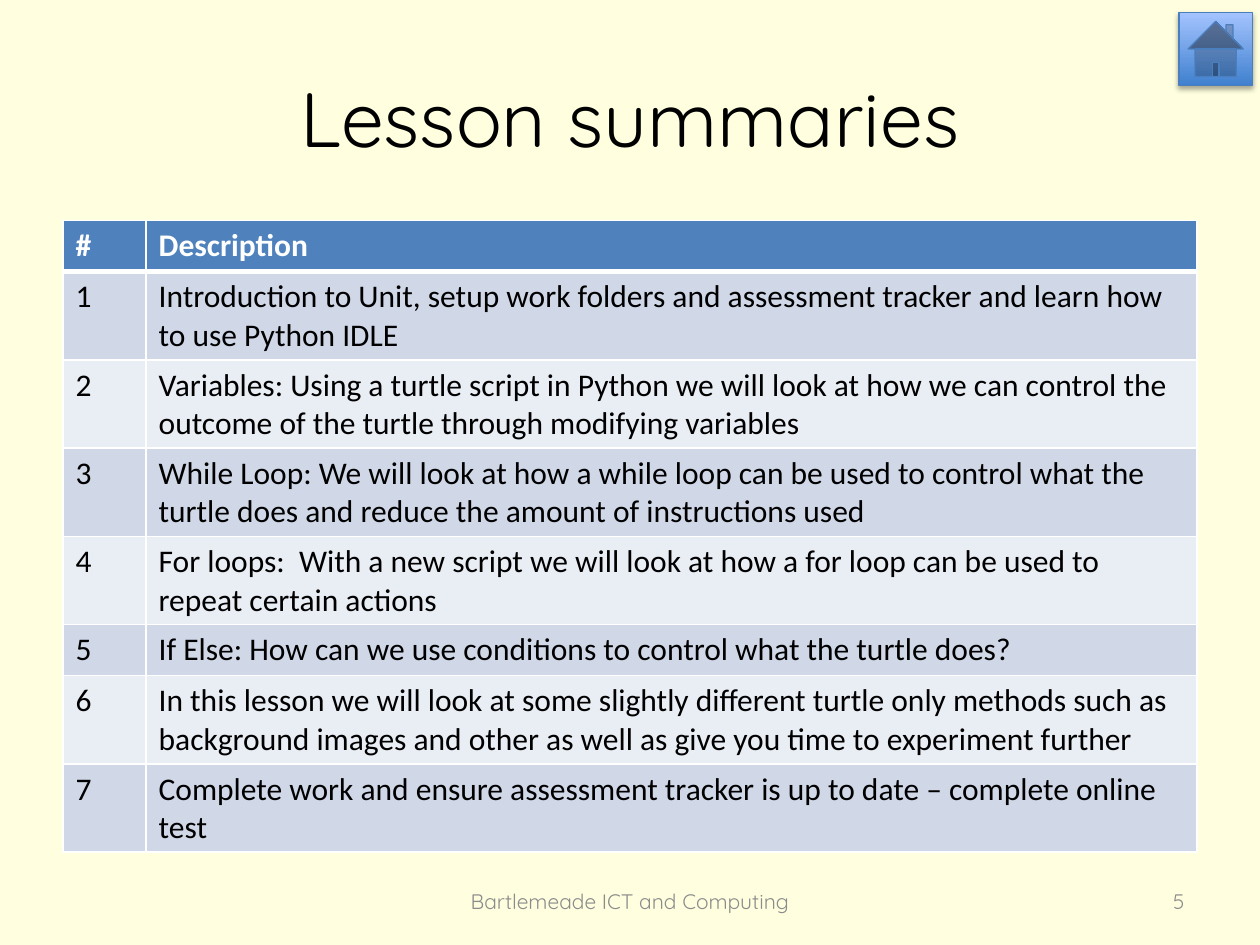
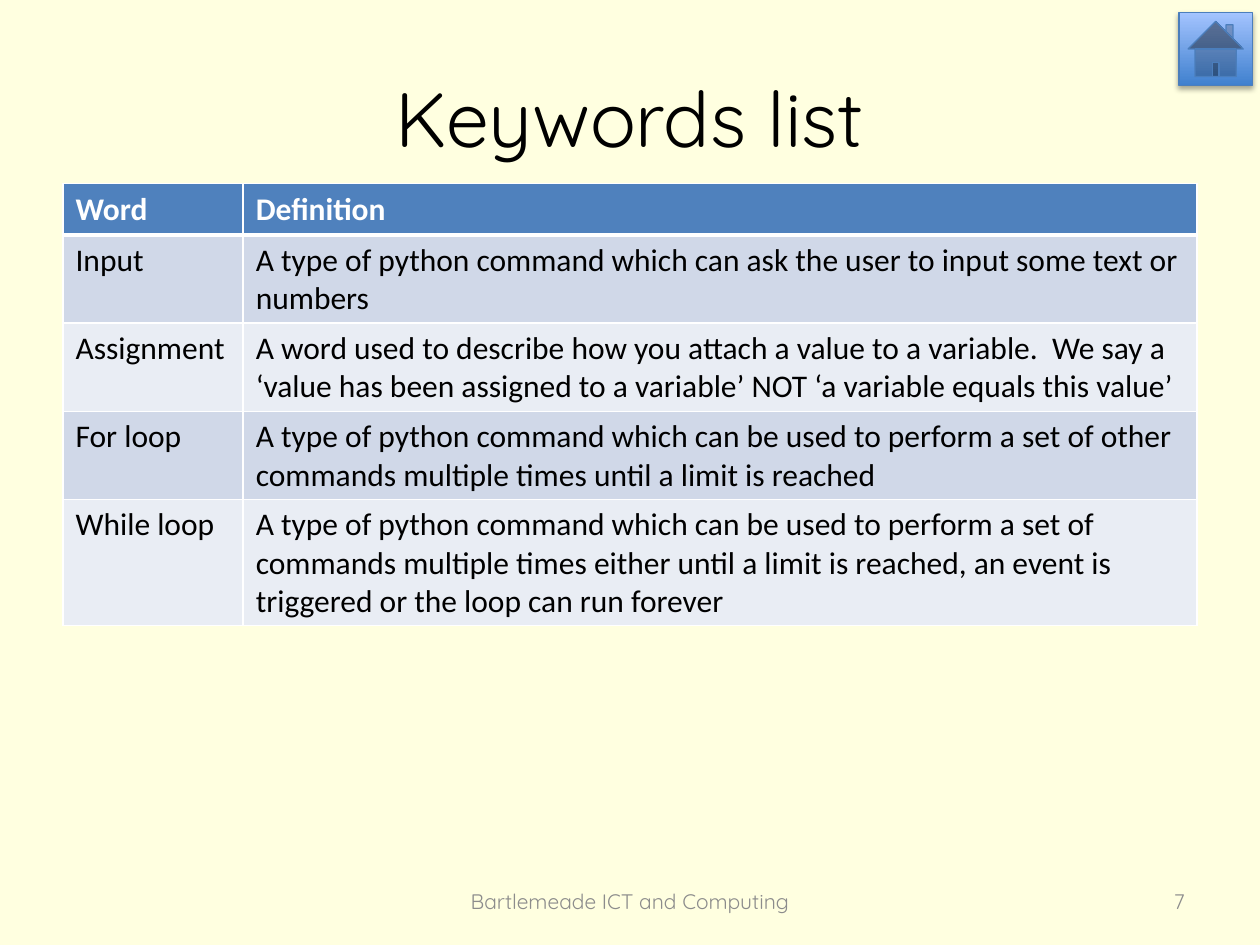
from dataclasses import dataclass

from lxml.etree import SubElement
from pptx import Presentation
from pptx.dml.color import RGBColor
from pptx.enum.shapes import MSO_SHAPE
from pptx.enum.text import MSO_ANCHOR, PP_ALIGN
from pptx.oxml.ns import qn
from pptx.util import Pt

FOOTER = "Bartlemeade ICT and Computing"

SLIDES = [
    {
        "title": "Lesson summaries",
        "number": 5,
        "table_top": 126,
        "table_height": 360.7,
        "first_column": 47.5,
        "rows": [
            ("#", "Description"),
            ("1", "Introduction to Unit, setup work folders and assessment tracker and learn how to use Python IDLE"),
            ("2", "Variables: Using a turtle script in Python we will look at how we can control the outcome of the turtle through modifying variables"),
            ("3", "While Loop: We will look at how a while loop can be used to control what the turtle does and reduce the amount of instructions used"),
            ("4", "For loops:  With a new script we will look at how a for loop can be used to repeat certain actions"),
            ("5", "If Else: How can we use conditions to control what the turtle does?"),
            ("6", "In this lesson we will look at some slightly different turtle only methods such as background images and other as well as give you time to experiment further"),
            ("7", "Complete work and ensure assessment tracker is up to date – complete online test"),
        ],
    },
    {
        "title": "Keywords list",
        "number": 7,
        "table_top": 105,
        "table_height": 252.7,
        "first_column": 103,
        "rows": [
            ("Word", "Definition"),
            ("Input", "A type of python command which can ask the user to input some text or numbers"),
            ("Assignment", "A word used to describe how you attach a value to a variable.  We say a ‘value has been assigned to a variable’ NOT ‘a variable equals this value’"),
            ("For loop", "A type of python command which can be used to perform a set of other commands multiple times until a limit is reached"),
            ("While loop", "A type of python command which can be used to perform a set of commands multiple times either until a limit is reached, an event is triggered or the loop can run forever"),
        ],
    },
]


@dataclass(frozen=True)
class Theme:
    background: str = "FFFFE0"
    text: str = "000000"
    muted: str = "8C8C8C"
    white: str = "FFFFFF"
    header: str = "4F81BD"
    bands: tuple = ("D0D8E8", "E9EDF4")
    button_gradient: tuple = ("3F80CE", "A4C4FF")
    button_line: str = "4B7EBC"
    display_font: str = "Quicksand"
    table_font: str = "Calibri"
    title_size: int = 44
    table_size: int = 18
    footer_size: int = 12


THEME = Theme()
WIDTH, HEIGHT = 720, 540
MARGIN = 36
CONTENT_WIDTH = WIDTH - 2 * MARGIN
ROW_HEIGHT = 29.2
FOOTER_TOP, FOOTER_HEIGHT = 500.5, 29
FOOTER_WIDTH, NUMBER_WIDTH = 228, 168
BUTTON_LEFT, BUTTON_TOP, BUTTON_SIZE = 673.7, 7, 42


def color(value):
    return RGBColor.from_string(value)


def style_font(paragraph, name, size, value, bold=False):
    font = paragraph.font
    font.name, font.size, font.bold = name, Pt(size), bold
    font.color.rgb = color(value)


def add_text(slide, text, left, top, width, height, size, value, alignment):
    box = slide.shapes.add_textbox(Pt(left), Pt(top), Pt(width), Pt(height))
    frame = box.text_frame
    frame.word_wrap = True
    frame.vertical_anchor = MSO_ANCHOR.MIDDLE
    paragraph = frame.paragraphs[0]
    paragraph.text = text
    paragraph.alignment = alignment
    style_font(paragraph, THEME.display_font, size, value)


def add_borders(cell, top, bottom):
    properties = cell._tc.get_or_add_tcPr()
    for side, width in (("L", 1), ("R", 1), ("T", top), ("B", bottom)):
        line = SubElement(properties, qn(f"a:ln{side}"), w=str(Pt(width)))
        fill = SubElement(line, qn("a:solidFill"))
        SubElement(fill, qn("a:srgbClr"), val=THEME.white)


def add_grid(slide, content):
    rows = content["rows"]
    graphic_frame = slide.shapes.add_table(
        len(rows), 2, Pt(MARGIN), Pt(content["table_top"]),
        Pt(CONTENT_WIDTH), Pt(content["table_height"]))
    table = graphic_frame.table
    first = content["first_column"]
    for column, width in zip(table.columns, (first, CONTENT_WIDTH - first)):
        column.width = Pt(width)
    for index, (row, texts) in enumerate(zip(table.rows, rows)):
        row.height = Pt(ROW_HEIGHT)
        is_header = index == 0
        fill = THEME.header if is_header else THEME.bands[(index - 1) % 2]
        for cell, text in zip(row.cells, texts):
            add_borders(cell, 3 if index == 1 else 1, 3 if is_header else 1)
            cell.fill.solid()
            cell.fill.fore_color.rgb = color(fill)
            paragraph = cell.text_frame.paragraphs[0]
            paragraph.text = text
            style_font(paragraph, THEME.table_font, THEME.table_size,
                       THEME.white if is_header else THEME.text, is_header)
    graphic_frame.height = Pt(content["table_height"])


def add_home_button(slide):
    button = slide.shapes.add_shape(
        MSO_SHAPE.ACTION_BUTTON_HOME, Pt(BUTTON_LEFT), Pt(BUTTON_TOP),
        Pt(BUTTON_SIZE), Pt(BUTTON_SIZE))
    button.fill.gradient()
    button.fill.gradient_angle = 90
    for stop, value in zip(button.fill.gradient_stops, THEME.button_gradient):
        stop.color.rgb = color(value)
    button.line.color.rgb = color(THEME.button_line)
    button.line.width = Pt(0.75)
    button.shadow.inherit = False
    effects = button._element.spPr.find(qn("a:effectLst"))
    shadow = SubElement(effects, qn("a:outerShdw"), blurRad=str(Pt(3.1)),
                        dist=str(Pt(1.8)), dir="5400000", rotWithShape="0")
    shade = SubElement(shadow, qn("a:srgbClr"), val=THEME.text)
    SubElement(shade, qn("a:alpha"), val="35000")


def add_footer(slide, number):
    add_text(slide, FOOTER, (WIDTH - FOOTER_WIDTH) / 2, FOOTER_TOP,
             FOOTER_WIDTH, FOOTER_HEIGHT, THEME.footer_size, THEME.muted,
             PP_ALIGN.CENTER)
    add_text(slide, str(number), WIDTH - MARGIN - NUMBER_WIDTH, FOOTER_TOP,
             NUMBER_WIDTH, FOOTER_HEIGHT, THEME.footer_size, THEME.muted,
             PP_ALIGN.RIGHT)


def build_slide(presentation, content):
    slide = presentation.slides.add_slide(presentation.slide_layouts[6])
    add_text(slide, content["title"], MARGIN, 21.6, CONTENT_WIDTH, 90,
             THEME.title_size, THEME.text, PP_ALIGN.CENTER)
    add_grid(slide, content)
    add_footer(slide, content["number"])
    add_home_button(slide)


def main():
    presentation = Presentation()
    presentation.slide_width, presentation.slide_height = Pt(WIDTH), Pt(HEIGHT)
    background = presentation.slide_master.background.fill
    background.solid()
    background.fore_color.rgb = color(THEME.background)
    for content in SLIDES:
        build_slide(presentation, content)
    presentation.save("out.pptx")


if __name__ == "__main__":
    main()
